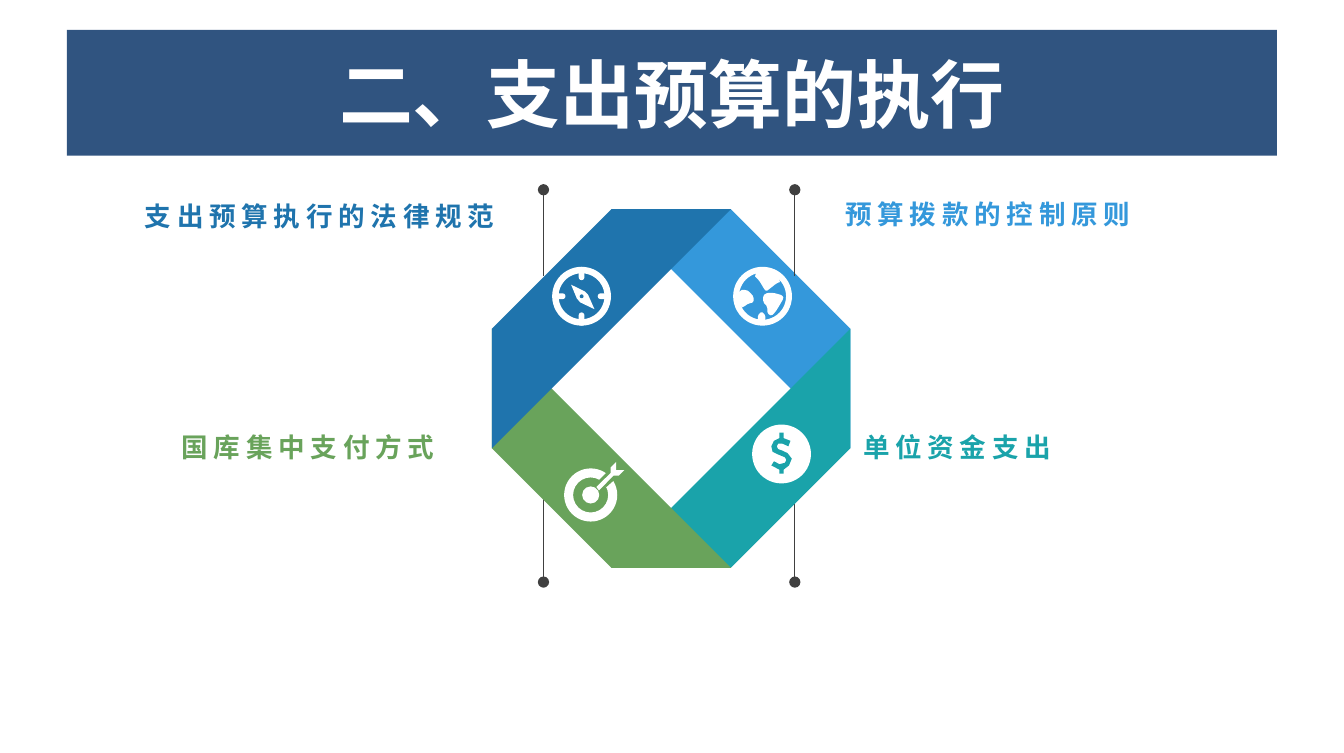
from dataclasses import dataclass

from lxml import etree
from pptx import Presentation
from pptx.dml.color import RGBColor
from pptx.enum.shapes import MSO_CONNECTOR as Connector, MSO_SHAPE as Preset
from pptx.enum.text import MSO_ANCHOR as Anchor, PP_ALIGN as Align
from pptx.oxml.ns import qn
from pptx.util import Pt


@dataclass(frozen=True)
class Theme:
    banner: str = "305480"
    blue: str = "1F74AD"
    sky: str = "3498DB"
    teal: str = "1AA3AA"
    green: str = "69A35B"
    line: str = "404040"
    white: str = "FFFFFF"
    title_size: float = 39
    label_size: float = 14
    title_font: str = "Calibri"
    label_font: str = "Noto Sans CJK SC"


THEME = Theme()
ICON = 31  # width and height of an icon

# Icon outlines, in points from the icon's top left corner
NEEDLE = [(10, 9.4), (17.3, 13), (19, 14.8), (22.3, 22.3), (14.8, 18.7), (13, 16.6)]
LANDS = [
    [(3.6, 12.2), (7.2, 12.2), (9, 13.6), (10.8, 15.8), (10.8, 18.7), (8, 19.4),
     (5.8, 20.9), (4.3, 21.6), (2, 16)],
    [(10.8, 4.3), (13.7, 7.2), (15.8, 10.8), (17.3, 13), (19.4, 11.5), (23, 8.6),
     (25.2, 7.9), (22, 3), (15.8, 1)],
    [(23.8, 14.4), (20.9, 13.7), (18, 13.7), (15.8, 15.1), (15.8, 18.7), (18, 20.9),
     (18, 24.5), (20.2, 25.9), (22.3, 23.8), (24.5, 20.2), (26.6, 16.6), (25.9, 15.1)],
    [(13, 28.5), (13, 25.5), (15, 23.5), (17, 25.5), (17, 28.5)],
]
DOLLAR = [
    (14.4, 4.3), (16.6, 4.3), (16.6, 7.2), (20.2, 8.6), (19.1, 11.5), (16, 10.1),
    (13.7, 10.1), (13, 11.5), (13.7, 13), (15.8, 13.7), (18.7, 15.1), (20.9, 18),
    (19.4, 21.6), (16.6, 23.8), (16.6, 25.9), (14.4, 25.9), (14.4, 23.8), (10.1, 21.6),
    (11.5, 19.4), (14.4, 20.9), (17.3, 20.2), (18, 18.7), (17.3, 17.3), (13.7, 15.8),
    (10.8, 14.4), (10.1, 11.5), (11.5, 8.6), (14.4, 7.2),
]
ARROW_GAP = [(18.5, 9.5), (23, 5), (27, 9), (22.3, 13.2)]
ARROW = [(27.4, 4.3), (27.4, 0), (24.5, 2.9), (24.5, 5.8), (17, 13.2), (18.4, 15),
         (26, 7.2), (28.8, 7.2), (31.7, 4.3)]


def paint(shape, color):
    shape.shadow.inherit = False
    shape.fill.solid()
    shape.fill.fore_color.rgb = RGBColor.from_string(color)
    shape.line.fill.background()
    return shape


def add_preset(slide, preset, left, top, width, height, color, adjust=None, flips=()):
    shape = slide.shapes.add_shape(preset, Pt(left), Pt(top), Pt(width), Pt(height))
    if adjust is not None:
        shape.adjustments[0] = adjust
    for flip in flips:
        shape.element.spPr.find(qn("a:xfrm")).set(flip, "1")
    return paint(shape, color)


def rounded(points):
    """Cut every corner of a closed outline at a quarter of its sides."""
    result = []
    for (x1, y1), (x2, y2) in zip(points, points[1:] + points[:1]):
        result += [(x1 + (x2 - x1) * t, y1 + (y2 - y1) * t) for t in (0.25, 0.75)]
    return result


def add_outline(slide, left, top, points, color):
    corners = [(Pt(left + x), Pt(top + y)) for x, y in points]
    builder = slide.shapes.build_freeform(*corners[0])
    builder.add_line_segments(corners[1:], close=True)
    return paint(builder.convert_to_shape(), color)


def add_pin(slide, x, dot_y, end_y):
    pin = slide.shapes.add_connector(Connector.STRAIGHT, Pt(x), Pt(dot_y), Pt(x), Pt(end_y))
    pin.line.color.rgb = RGBColor.from_string(THEME.line)
    pin.line.width = Pt(0.5)
    etree.SubElement(pin.line._get_or_add_ln(), qn("a:headEnd"), type="oval")
    etree.SubElement(pin.element.spPr, qn("a:effectLst"))


def write_text(shape, text, *, size, font, color, align, anchor, margins,
               line_spacing=None, tracking=0):
    frame = shape.text_frame
    frame.word_wrap = True
    frame.vertical_anchor = anchor
    (frame.margin_left, frame.margin_top,
     frame.margin_right, frame.margin_bottom) = map(Pt, margins)
    paragraph = frame.paragraphs[0]
    paragraph.alignment = align
    if line_spacing:
        paragraph.line_spacing = line_spacing
    run = paragraph.add_run()
    run.text = text
    run.font.size, run.font.bold, run.font.name = Pt(size), True, font
    run.font.color.rgb = RGBColor.from_string(color)
    properties = run.font._element
    if tracking:
        properties.set("spc", str(tracking * 100))
    etree.SubElement(properties, qn("a:ea"), typeface=THEME.label_font)


def add_label(slide, text, left, top, width, color, align):
    box = slide.shapes.add_textbox(Pt(left), Pt(top), Pt(width), Pt(24.5))
    write_text(box, text, size=THEME.label_size, font=THEME.label_font, color=color,
               align=align, anchor=Anchor.BOTTOM, margins=(5, 3, 5, 0),
               line_spacing=1.2, tracking=3)


def add_compass(slide, left, top):
    add_preset(slide, Preset.DONUT, left, top, ICON, ICON, THEME.white, 0.11)
    middle, far = (ICON - 3) / 2, ICON - 7
    for x, y, width, height in ((middle, 0, 3, 7), (middle, far, 3, 7),
                                (0, middle, 7, 3), (far, middle, 7, 3)):
        add_preset(slide, Preset.ROUNDED_RECTANGLE, left + x, top + y, width, height,
                   THEME.white, 0.5)
    add_outline(slide, left, top, NEEDLE, THEME.white)
    add_preset(slide, Preset.OVAL, left + 14.5, top + 14.5, 2, 2, THEME.blue)


def add_globe(slide, left, top):
    add_preset(slide, Preset.DONUT, left, top, ICON, ICON, THEME.white, 0.1)
    for land in LANDS:
        add_outline(slide, left, top, rounded(land), THEME.white)


def add_coin(slide, left, top):
    add_preset(slide, Preset.OVAL, left, top, ICON, ICON, THEME.white)
    add_outline(slide, left, top, DOLLAR, THEME.teal)


def add_target(slide, left, top):
    add_preset(slide, Preset.DONUT, left, top + 3.4, 28, 28, THEME.white, 0.17)
    add_preset(slide, Preset.OVAL, left + 9.5, top + 12.9, 9, 9, THEME.white)
    add_outline(slide, left, top, ARROW_GAP, THEME.green)
    add_outline(slide, left, top, ARROW, THEME.white)


def main():
    presentation = Presentation()
    presentation.slide_width, presentation.slide_height = Pt(708.5), Pt(396.75)
    slide = presentation.slides.add_slide(presentation.slide_layouts[6])
    pin_columns = (286.5, 419)

    # Lower pins, behind the ring
    for x in pin_columns:
        add_pin(slide, x, 306.7, 261.4)

    # Ring of four folded stripes
    left, top, half = 259.3, 110.2, 63
    for column, row, color, flips in (
        (1, 0, THEME.sky, ["flipH"]),
        (1, 1, THEME.teal, ["flipH", "flipV"]),
        (0, 1, THEME.green, ["flipV"]),
        (0, 0, THEME.blue, []),
    ):
        add_preset(slide, Preset.DIAGONAL_STRIPE, left + column * half, top + row * half,
                   2 * half, 2 * half, color, flips=flips)

    # Upper pins, in front of the ring
    for x in pin_columns:
        add_pin(slide, x, 100, 145.4)

    # Icons
    add_target(slide, 297.4, 243.4)
    add_coin(slide, 396.5, 223.7)
    add_compass(slide, 291.1, 140.6)
    add_globe(slide, 386.5, 140.6)

    # Labels
    add_label(slide, "支出预算执行的法律规范", 65.5, 97.9, 200.2, THEME.blue, Align.RIGHT)
    add_label(slide, "预算拨款的控制原则", 440.6, 96.5, 165.6, THEME.sky, Align.LEFT)
    add_label(slide, "单位资金支出", 450, 219.2, 160, THEME.teal, Align.LEFT)
    add_label(slide, "国库集中支付方式", 65.5, 219.3, 168.5, THEME.green, Align.RIGHT)

    # Title banner
    banner = add_preset(slide, Preset.RECTANGLE, 35.3, 15.8, 637.9, 66.2, THEME.banner)
    write_text(banner, "二、支出预算的执行", size=THEME.title_size, font=THEME.title_font,
               color=THEME.white, align=Align.CENTER, anchor=Anchor.MIDDLE,
               margins=(6.5, 3, 6.5, 3))

    presentation.save("out.pptx")


if __name__ == "__main__":
    main()
